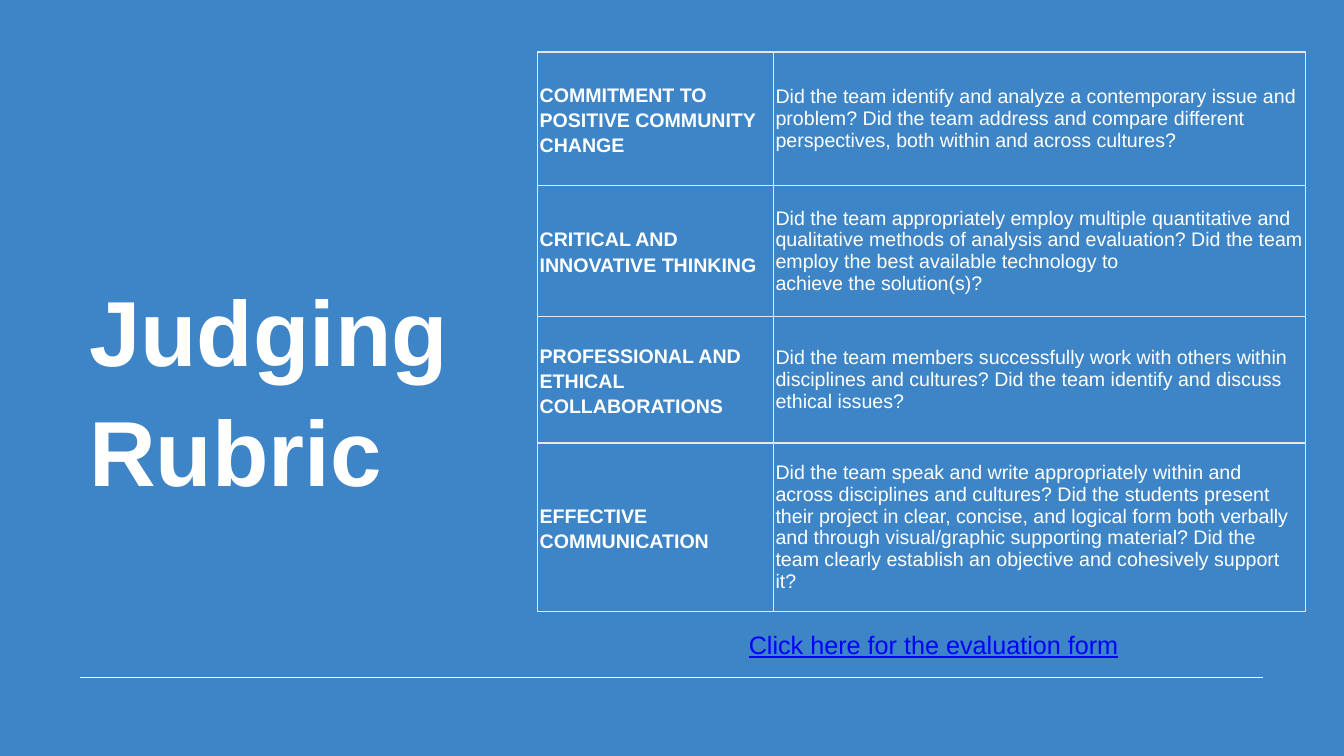
"""Build the judging rubric slide."""
import dataclasses
import typing

import pptx
import pptx.dml.color
import pptx.enum.shapes
import pptx.enum.text
import pptx.oxml
import pptx.oxml.ns
import pptx.util

Cm = pptx.util.Cm
Pt = pptx.util.Pt


@dataclasses.dataclass(frozen=True)
class Theme:
    font: str = "Arial"
    back: str = "3D85C6"
    white: str = "FFFFFF"
    grid: str = "E6E6E6"
    link: str = "0000FF"
    title: int = 132
    body: int = 28
    note: int = 36
    rule: int = 2


class Box(typing.NamedTuple):
    left: float
    top: float
    width: float
    height: float


class Style(typing.NamedTuple):
    size: int
    color: str
    bold: bool = False
    under: bool = False
    space: float = 1.0


class Topic(typing.NamedTuple):
    name: str
    asks: str
    height: float


THEME = Theme()
HEAD = Style(THEME.title, THEME.white, bold=True, space=1.08)
LABEL = Style(THEME.body, THEME.white, bold=True, space=1.15)
PLAIN = Style(THEME.body, THEME.white)
LINK = Style(THEME.note, THEME.link, under=True)

COLS = (11.89, 26.8)
TOPICS = (
    Topic("COMMITMENT TO POSITIVE COMMUNITY CHANGE",
          "Did the team identify and analyze a contemporary issue and problem? "
          "Did the team address and compare different perspectives, both within "
          "and across cultures?", 6.73),
    Topic("CRITICAL AND INNOVATIVE THINKING",
          "Did the team appropriately employ multiple quantitative and qualitative "
          "methods of analysis and evaluation? Did the team employ the best "
          "available technology to\nachieve the solution(s)?", 6.6),
    Topic("PROFESSIONAL AND ETHICAL COLLABORATIONS",
          "Did the team members successfully work with others within disciplines "
          "and cultures? Did the team identify and discuss ethical issues?", 6.38),
    Topic("EFFECTIVE COMMUNICATION",
          "Did the team speak and write appropriately within and across disciplines "
          "and cultures? Did the students present their project in clear, concise, "
          "and logical form both verbally and through visual/graphic supporting "
          "material? Did the team clearly establish an objective and cohesively "
          "support it?", 8.48),
)


def rgb(code: str) -> pptx.dml.color.RGBColor:
    """Turn a hex code into a colour."""
    return pptx.dml.color.RGBColor.from_string(code)


def write(frame, text: str, style: Style) -> None:
    """Fill the first paragraph, with a line break at each newline."""
    para = frame.paragraphs[0]
    para.line_spacing = style.space
    for index, line in enumerate(text.split("\n")):
        if index:
            para.add_line_break()
        run = para.add_run()
        run.text = line
        font = run.font
        font.name, font.size = THEME.font, Pt(style.size)
        font.bold, font.underline = style.bold, style.under
        font.color.rgb = rgb(style.color)


def add_text(slide, box: Box, text: str, style: Style, inset: float) -> None:
    """Place a wrapped text box with equal insets."""
    frame = slide.shapes.add_textbox(*map(Cm, box)).text_frame
    frame.word_wrap = True
    frame.margin_left = frame.margin_right = Cm(inset)
    frame.margin_top = frame.margin_bottom = Cm(inset)
    write(frame, text, style)


def add_rule(slide, left: float, right: float, top: float) -> None:
    """Draw the level line near the foot."""
    line = slide.shapes.add_connector(
        pptx.enum.shapes.MSO_CONNECTOR.STRAIGHT,
        Cm(left), Cm(top), Cm(right), Cm(top))
    line.line.color.rgb = rgb(THEME.white)
    line.line.width = Pt(THEME.rule)
    line._element.spPr.append(pptx.oxml.parse_xml(
        f"<a:effectLst {pptx.oxml.ns.nsdecls('a')}/>"))


def edge(cell) -> None:
    """Put a thin border on all four sides of a cell."""
    props = cell._tc.get_or_add_tcPr()
    for index, side in enumerate(("lnL", "lnR", "lnT", "lnB")):
        props.insert(index, pptx.oxml.parse_xml(
            f"<a:{side} {pptx.oxml.ns.nsdecls('a')} w='{Pt(THEME.rule)}'>"
            f"<a:solidFill><a:srgbClr val='{THEME.grid}'/></a:solidFill>"
            f"</a:{side}>"))


def add_grid(slide, left: float, top: float, topics: tuple[Topic, ...]) -> None:
    """Draw the table of topics and questions."""
    high = sum(topic.height for topic in topics)
    table = slide.shapes.add_table(
        len(topics), len(COLS), Cm(left), Cm(top), Cm(sum(COLS)), Cm(high)).table
    table.first_row = table.horz_banding = False
    for col, width in zip(table.columns, COLS):
        col.width = Cm(width)
    for row, topic in zip(table.rows, topics):
        row.height = Cm(topic.height)
        pairs = ((topic.name, LABEL), (topic.asks, PLAIN))
        for cell, (text, style) in zip(row.cells, pairs):
            cell.fill.background()
            cell.vertical_anchor = pptx.enum.text.MSO_ANCHOR.MIDDLE
            cell.margin_left = cell.margin_right = Cm(0.1)
            cell.margin_top = cell.margin_bottom = Cm(0.1)
            edge(cell)
            write(cell.text_frame, text, style)


def main() -> None:
    """Build and save the deck."""
    deck = pptx.Presentation()
    deck.slide_width, deck.slide_height = Cm(67.74), Cm(38.1)
    slide = deck.slides.add_slide(deck.slide_layouts[6])
    slide.background.fill.solid()
    slide.background.fill.fore_color.rgb = rgb(THEME.back)
    add_rule(slide, 4.04, 63.68, 34.14)
    add_text(slide, Box(4.34, 13.21, 19.2, 11.61), "Judging Rubric", HEAD, 0.15)
    add_grid(slide, 27.1, 2.62, TOPICS)
    add_text(slide, Box(37.41, 31.37, 23.22, 2.11),
             "Click here for the evaluation form", LINK, 0.33)
    deck.save("out.pptx")


if __name__ == "__main__":
    main()
